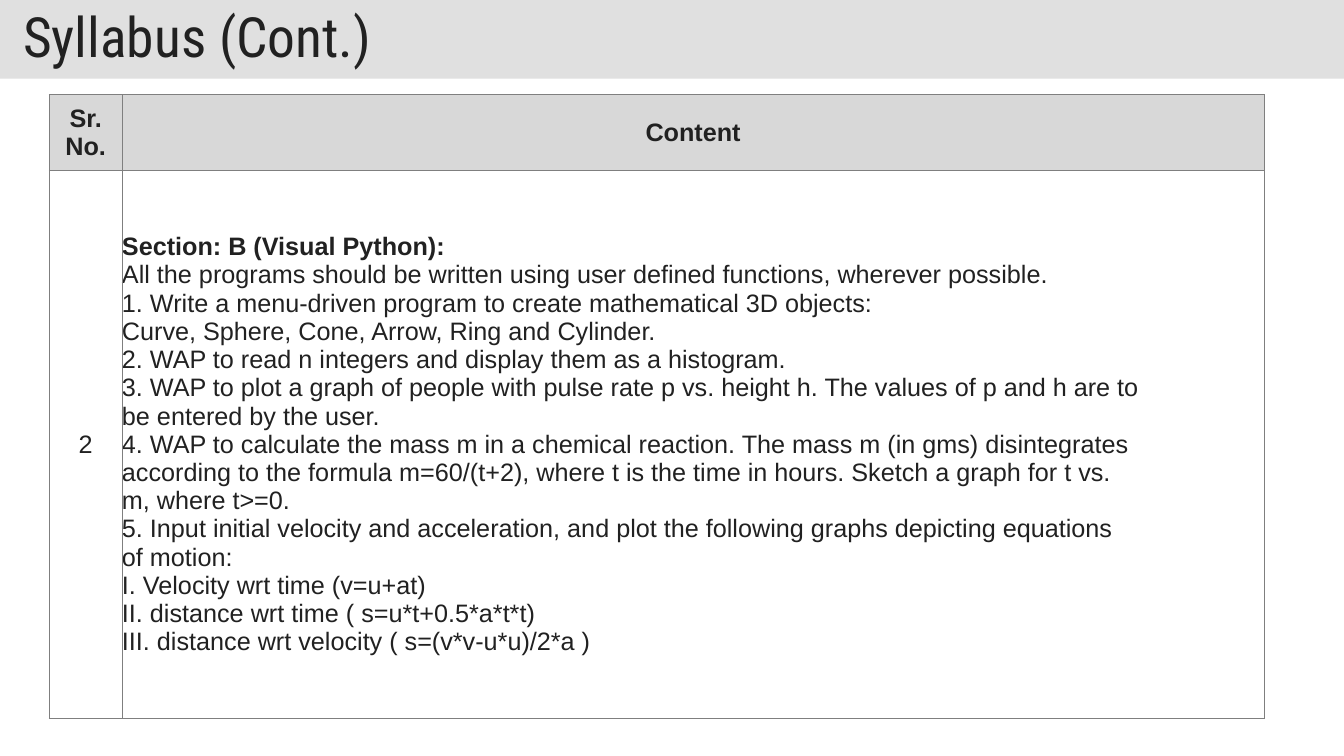
from pptx import Presentation
from pptx.dml.color import RGBColor
from pptx.enum.shapes import MSO_SHAPE as Shape
from pptx.enum.text import MSO_ANCHOR as Anchor, PP_ALIGN as Align
from pptx.oxml import parse_xml
from pptx.oxml.ns import nsdecls
from pptx.util import Inches, Pt

TEXT_COLOR = "212121"
BAR_COLOR = "E0E0E0"
HEADER_COLOR = "D8D8D8"
BORDER_COLOR = "7F7F7F"
TITLE_FONT = {"name": "Roboto Condensed", "size": Pt(39.6), "bold": False}
BODY_FONT = {"name": "Arial", "size": Pt(18), "bold": False}
BOLD_FONT = {**BODY_FONT, "bold": True}
COLUMN_WIDTHS = (0.72, 11.33)
ROW_HEIGHTS = (0.75, 5.44)
SECTION_HEADING = "Section: B (Visual Python):"
SECTION_LINES = (
    "All the programs should be written using user defined functions, wherever possible.",
    "1. Write a menu-driven program to create mathematical 3D objects:",
    "Curve, Sphere, Cone, Arrow, Ring and Cylinder.",
    "2. WAP to read n integers and display them as a histogram.",
    "3. WAP to plot a graph of people with pulse rate p vs. height h. The values of p and h are to",
    "be entered by the user.",
    "4. WAP to calculate the mass m in a chemical reaction. The mass m (in gms) disintegrates",
    "according to the formula m=60/(t+2), where t is the time in hours. Sketch a graph for t vs.",
    "m, where t>=0.",
    "5. Input initial velocity and acceleration, and plot the following graphs depicting equations",
    "of motion:",
    "I. Velocity wrt time (v=u+at)",
    "II. distance wrt time ( s=u*t+0.5*a*t*t)",
    "III. distance wrt velocity ( s=(v*v-u*u)/2*a )",
)


def set_color(color_format, color):
    """Give a colour format a hex colour."""
    color_format.rgb = RGBColor.from_string(color)


def set_attributes(target, values):
    """Set every attribute named in a dict of format values."""
    for name, value in values.items():
        setattr(target, name, value)


def write_paragraph(paragraph, text, font, alignment):
    """Write one formatted line of text."""
    paragraph.alignment = alignment
    run = paragraph.add_run()
    run.text = text
    set_attributes(run.font, font)
    set_color(run.font.color, TEXT_COLOR)


def add_title_bar(slide, text):
    """Add the title bar across the top."""
    bar = slide.shapes.add_shape(Shape.RECTANGLE, 0, 0, Inches(13.33), Inches(0.78))
    bar.shadow.inherit = False
    bar.line.fill.background()
    bar.fill.solid()
    set_color(bar.fill.fore_color, BAR_COLOR)
    frame = bar.text_frame
    set_attributes(frame, {
        "word_wrap": True, "vertical_anchor": Anchor.MIDDLE,
        "margin_left": Inches(0.23), "margin_right": Inches(0.23),
        "margin_top": Inches(0.12), "margin_bottom": Inches(0.12),
    })
    frame.paragraphs[0].line_spacing = 0.9
    write_paragraph(frame.paragraphs[0], text, TITLE_FONT, Align.LEFT)


def add_borders(cell):
    """Draw a thin line on all four sides of a cell."""
    properties = cell._tc.get_or_add_tcPr()
    for side in "LRTB":
        properties.append(parse_xml(
            f'<a:ln{side} {nsdecls("a")} w="{Pt(0.75)}"><a:solidFill>'
            f'<a:srgbClr val="{BORDER_COLOR}"/></a:solidFill></a:ln{side}>'))


def fill_cell(cell, lines, alignment, fill=None):
    """Format a cell and write its (text, font) lines."""
    add_borders(cell)
    if fill:
        cell.fill.solid()
        set_color(cell.fill.fore_color, fill)
    else:
        cell.fill.background()
    margins = {f"margin_{side}": 0 for side in ("left", "right", "top", "bottom")}
    set_attributes(cell, {"vertical_anchor": Anchor.MIDDLE, **margins})
    frame = cell.text_frame
    for index, (text, font) in enumerate(lines):
        paragraph = frame.add_paragraph() if index else frame.paragraphs[0]
        write_paragraph(paragraph, text, font, alignment)


def add_syllabus_table(slide):
    """Add the table with the section's programs."""
    table = slide.shapes.add_table(
        len(ROW_HEIGHTS), len(COLUMN_WIDTHS), Inches(0.49), Inches(0.94),
        Inches(sum(COLUMN_WIDTHS)), Inches(sum(ROW_HEIGHTS))).table
    for column, width in zip(table.columns, COLUMN_WIDTHS):
        column.width = Inches(width)
    for row, height in zip(table.rows, ROW_HEIGHTS):
        row.height = Inches(height)
    for index, heading in enumerate(("Sr. No.", "Content")):
        fill_cell(table.cell(0, index), [(heading, BOLD_FONT)], Align.CENTER, HEADER_COLOR)
    fill_cell(table.cell(1, 0), [("2", BODY_FONT)], Align.CENTER)
    section = [(SECTION_HEADING, BOLD_FONT)] + [(line, BODY_FONT) for line in SECTION_LINES]
    fill_cell(table.cell(1, 1), section, Align.JUSTIFY)


def main():
    """Build and save the syllabus slide."""
    presentation = Presentation()
    presentation.slide_width = Inches(13.33)
    presentation.slide_height = Inches(7.5)
    slide = presentation.slides.add_slide(presentation.slide_layouts[6])
    add_title_bar(slide, "Syllabus (Cont.)")
    add_syllabus_table(slide)
    presentation.save("out.pptx")


if __name__ == "__main__":
    main()
